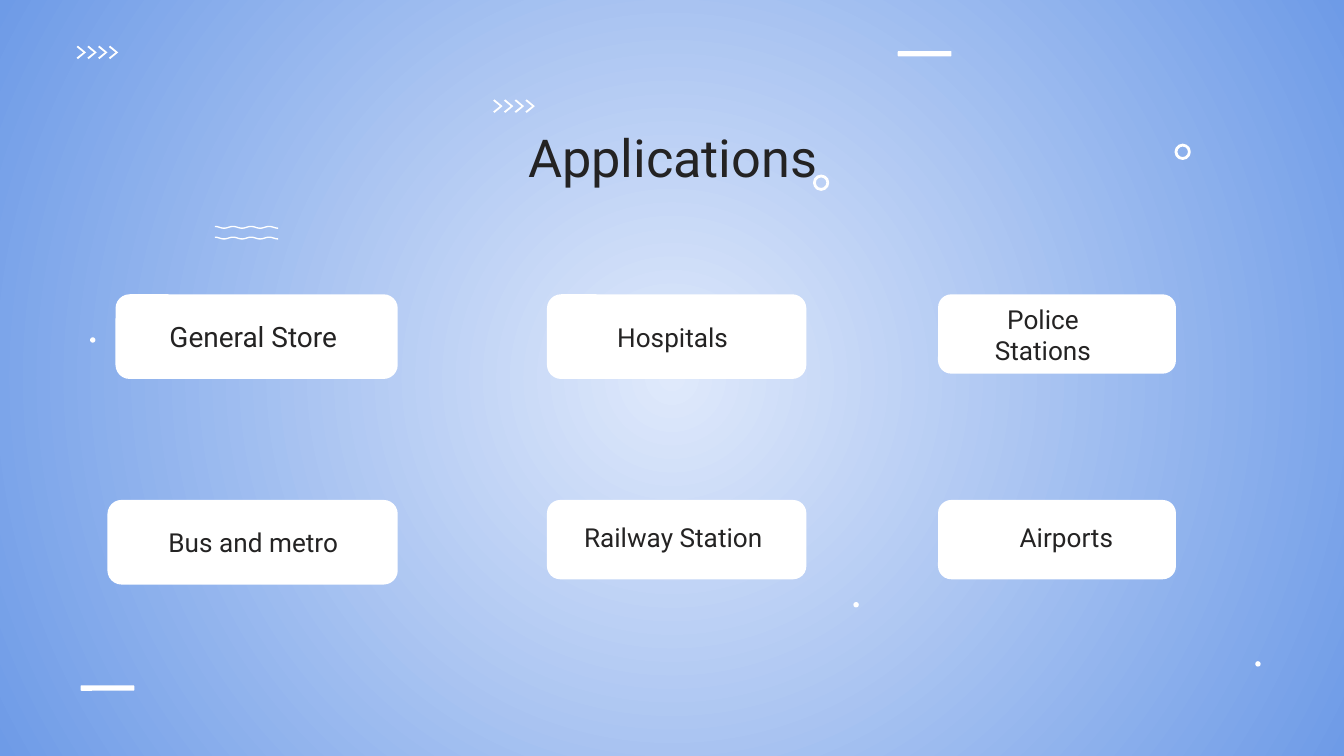
from math import cos, pi

from lxml import etree
from pptx import Presentation
from pptx.dml.color import RGBColor
from pptx.enum.shapes import MSO_SHAPE
from pptx.enum.text import MSO_ANCHOR, PP_ALIGN
from pptx.oxml.ns import qn
from pptx.util import Inches, Pt

OVAL = MSO_SHAPE.OVAL
ROUND = MSO_SHAPE.ROUNDED_RECTANGLE
TOP = MSO_ANCHOR.TOP
MIDDLE = MSO_ANCHOR.MIDDLE
CENTER = PP_ALIGN.CENTER
FONT = "Roboto"
INK = "242323"
WHITE = "FFFFFF"
INNER = "DFE9FB"
OUTER = "6E9BE7"

CARDS = [
    (0.86, 2.19, 2.1, 0.63),
    (4.07, 2.19, 1.93, 0.63),
    (6.98, 2.19, 1.77, 0.59),
    (0.8, 3.72, 2.16, 0.63),
    (4.07, 3.72, 1.93, 0.59),
    (6.98, 3.72, 1.77, 0.59),
]
NONE = (0, 0, 0, 0)
LABELS = [
    ("Applications", (1.48, 0.83, 7.05, 0.45), 28, TOP, (0.1, 0.1, 0.1, 0.1)),
    ("General Store", (1.13, 2.38, 1.51, 0.25), 15, MIDDLE, NONE),
    ("Hospitals", (4.43, 2.19, 1.15, 0.63), 14, MIDDLE, NONE),
    ("Police Stations", (7.13, 2.36, 1.36, 0.26), 14, MIDDLE, (0, 0.1, 0.1, 0.1)),
    ("Bus and metro", (1.13, 3.9, 1.51, 0.26), 14, MIDDLE, NONE),
    ("Railway Station", (4.31, 3.83, 1.4, 0.33), 14, MIDDLE, NONE),
    ("Airports", (7.36, 3.83, 1.15, 0.33), 14, MIDDLE, NONE),
]


def color(code):
    """Turn a hex string into a colour."""
    return RGBColor.from_string(code)


def paint(shape):
    """Give a shape a plain white fill."""
    shape.shadow.inherit = False
    shape.fill.solid()
    shape.fill.fore_color.rgb = color(WHITE)
    shape.line.fill.background()


def backdrop(slide):
    """Fill the background with a gradient that runs out from the centre."""
    fill = slide.background.fill
    fill.gradient()
    for stop, code in zip(fill.gradient_stops, (INNER, OUTER)):
        stop.color.rgb = color(code)
    grad = slide.element.find(".//" + qn("a:gradFill"))
    grad.remove(grad.find(qn("a:lin")))
    way = etree.SubElement(grad, qn("a:path"), path="circle")
    sides = dict.fromkeys("ltrb", "50000")
    etree.SubElement(way, qn("a:fillToRect"), **sides)


def solid(slide, kind, box):
    """Add a white preset shape."""
    shape = slide.shapes.add_shape(kind, *map(Inches, box))
    paint(shape)


def ring(slide, left, top):
    """Add a small open circle."""
    shape = slide.shapes.add_shape(OVAL, *map(Inches, (left, top, 0.1, 0.1)))
    shape.shadow.inherit = False
    shape.fill.background()
    shape.line.color.rgb = color(WHITE)
    shape.line.width = Pt(1.5)


def outline(slide, points):
    """Add a white closed polygon."""
    spots = [(Inches(x), Inches(y)) for x, y in points]
    pen = slide.shapes.build_freeform(*spots[0])
    pen.add_line_segments(spots[1:], close=True)
    paint(pen.convert_to_shape())


def arrows(slide, left, top):
    """Add a row of four chevrons."""
    form = [(0, 0.01), (0.01, 0), (0.07, 0.05),
            (0.01, 0.1), (0, 0.09), (0.05, 0.05)]
    for step in range(4):
        outline(slide, [(left + step * 0.08 + x, top + y) for x, y in form])


def wave(slide, left, top):
    """Add a thin wavy band of three and a half periods."""
    count = 56
    edge = [(left + 0.47 * i / count,
             top + 0.01 * (1 - cos(7 * pi * i / count)) / 1.5)
            for i in range(count + 1)]
    outline(slide, edge + [(x, y + 0.01) for x, y in reversed(edge)])


def label(slide, text, box, size, anchor, inset):
    """Add a centred text."""
    frame = slide.shapes.add_textbox(*map(Inches, box)).text_frame
    frame.word_wrap = True
    frame.vertical_anchor = anchor
    (frame.margin_left, frame.margin_top,
     frame.margin_right, frame.margin_bottom) = map(Inches, inset)
    para = frame.paragraphs[0]
    para.alignment = CENTER
    run = para.add_run()
    run.text = text
    run.font.name = FONT
    run.font.size = Pt(size)
    run.font.color.rgb = color(INK)


def main():
    """Build the slide and save it."""
    deck = Presentation()
    deck.slide_width = Inches(10)
    deck.slide_height = Inches(10 * 9 / 16)
    slide = deck.slides.add_slide(deck.slide_layouts[6])
    backdrop(slide)
    for left, top in [(3.67, 0.74), (0.57, 0.34)]:
        arrows(slide, left, top)
    for top in (1.68, 1.76):
        wave(slide, 1.6, top)
    for left, top in [(8.75, 1.08), (6.06, 1.31)]:
        ring(slide, left, top)
    for left, top in [(0.67, 2.51), (6.35, 4.48), (9.34, 4.92)]:
        solid(slide, OVAL, (left, top, 0.04, 0.04))
    for left, top in [(6.68, 0.38), (0.6, 5.1)]:
        solid(slide, ROUND, (left, top, 0.4, 0.04))
    for box in CARDS:
        solid(slide, ROUND, box)
    for item in LABELS:
        label(slide, *item)
    deck.save("out.pptx")


if __name__ == "__main__":
    main()
